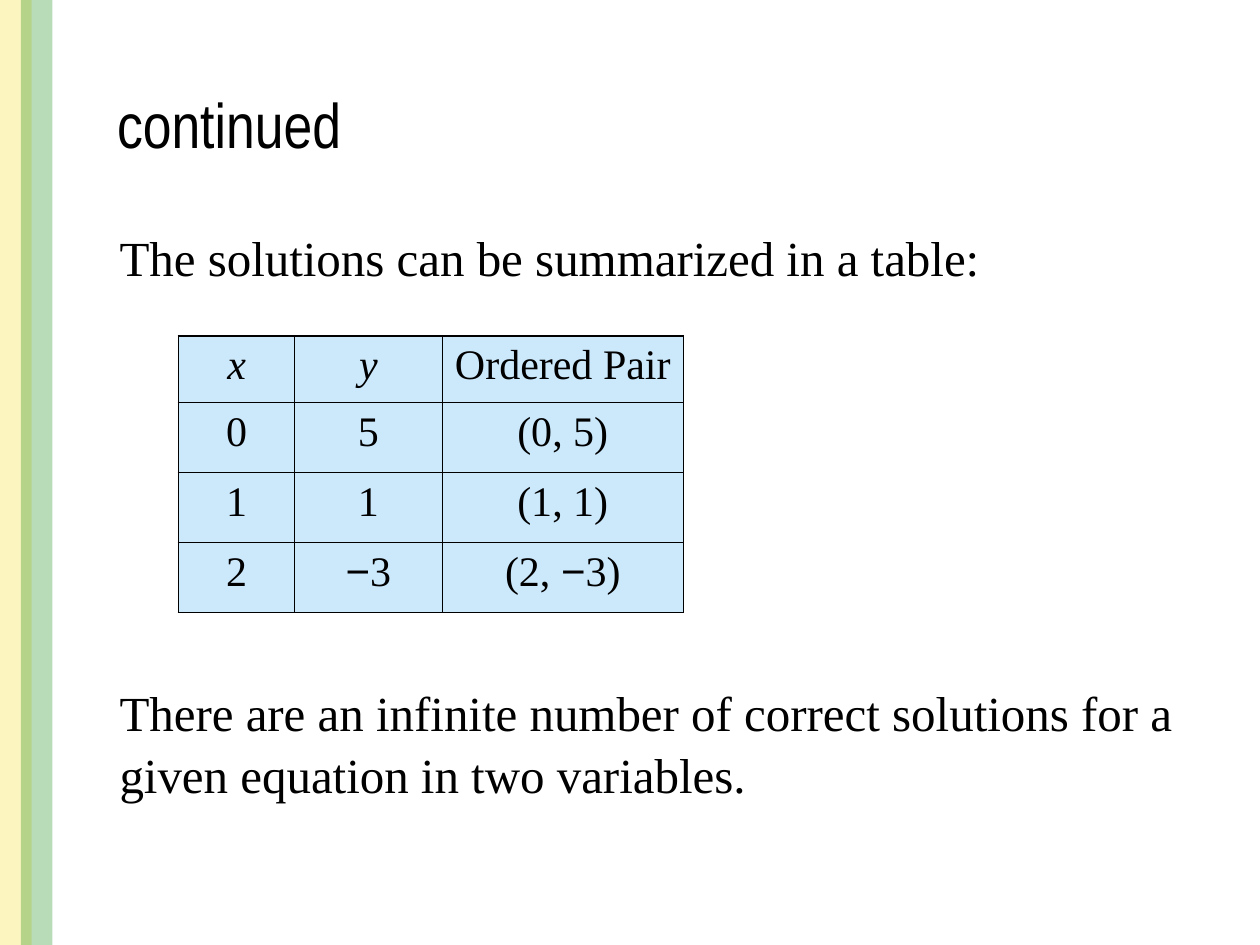
from lxml import etree
from pptx import Presentation
from pptx import util as u
from pptx.dml.color import RGBColor
from pptx.enum import shapes, text
from pptx.oxml import ns

COLORS = {"yellow": "F6DC1C", "green": "008000", "cell": "9BD4FB", "ink": "000000"}
SERIF = "Times New Roman"
THIN, THICK = u.Pt(0.45), u.Pt(1.08)


def fill_clear(fill, color, percent):
    """Fill with a colour at the given opacity."""
    fill.solid()
    fill.fore_color.rgb = RGBColor.from_string(COLORS[color])
    node = fill._xPr.find(ns.qn("a:solidFill"))[0]
    etree.SubElement(node, ns.qn("a:alpha"), val=str(percent * 1000))


def add_span(para, words, size, font=SERIF, italic=False):
    span = para.add_run()
    span.text = words
    span.font.size = u.Pt(size)
    span.font.name = font
    span.font.italic = italic
    span.font.color.rgb = RGBColor.from_string(COLORS["ink"])


deck = Presentation()
deck.slide_width, deck.slide_height = u.Cm(25.4), u.Cm(19.05)
page = deck.slides.add_slide(deck.slide_layouts[6])

# Two overlapping stripes down the left edge
for left, color in ((0, "yellow"), (0.42, "green")):
    stripe = page.shapes.add_shape(
        shapes.MSO_SHAPE.RECTANGLE, u.Cm(left), 0, u.Cm(0.64), deck.slide_height)
    stripe.shadow.inherit = False
    stripe.line.fill.background()
    fill_clear(stripe.fill, color, 28)

# Title and the two statements: left, top, height, size, font, words
statements = (
    (2.11, 1.47, 1.9, 36, "Arial Narrow", "continued"),
    (2.16, 4.4, 1.6, 28, SERIF, "The solutions can be summarized in a table:"),
    (2.16, 13.57, 2.8, 28, SERIF,
     "There are an infinite number of correct solutions for a given equation in two variables."),
)
for left, top, height, size, font, words in statements:
    box = page.shapes.add_textbox(u.Cm(left), u.Cm(top), u.Cm(22.12), u.Cm(height))
    frame = box.text_frame
    frame.word_wrap = True
    para = frame.paragraphs[0]
    if font == SERIF:
        frame.margin_right = 0
        para.space_before = u.Pt(3.5)
        para.line_spacing = 1.05
    else:
        frame.vertical_anchor = text.MSO_ANCHOR.BOTTOM
    add_span(para, words, size, font)

# Table of solutions
rows = (("x", "y", "Ordered Pair"),
        ("0", "5", "(0, 5)"),
        ("1", "1", "(1, 1)"),
        ("2", "−3", "(2, −3)"))
widths = (2.34, 2.97, 4.87)
heights = (1.35, 1.41, 1.41, 1.41)
table = page.shapes.add_table(
    len(rows), len(widths), u.Cm(3.6), u.Cm(6.77),
    u.Cm(sum(widths)), u.Cm(sum(heights))).table
for column, width in zip(table.columns, widths):
    column.width = u.Cm(width)
for row, height in zip(table.rows, heights):
    row.height = u.Cm(height)

for r, row in enumerate(rows):
    for c, words in enumerate(row):
        cell = table.cell(r, c)
        fill_clear(cell.fill, "cell", 50)
        para = cell.text_frame.paragraphs[0]
        para.alignment = text.PP_ALIGN.CENTER
        para.space_before = u.Pt(3)
        before, minus, after = words.partition("−")
        for part in (before, minus, after):
            if part:
                add_span(para, part, 24, "Arial" if part == "−" else SERIF,
                         italic=part in ("x", "y"))
        # Outer edges are thicker than inner ones
        edges = (("L", c == 0), ("R", c == len(widths) - 1),
                 ("T", r == 0), ("B", r == len(rows) - 1))
        properties = cell._tc.get_or_add_tcPr()
        for place, (side, outer) in enumerate(edges):
            line = etree.Element(ns.qn("a:ln" + side), w=str(THICK if outer else THIN))
            solid = etree.SubElement(line, ns.qn("a:solidFill"))
            etree.SubElement(solid, ns.qn("a:srgbClr"), val=COLORS["ink"])
            properties.insert(place, line)

deck.save("out.pptx")
